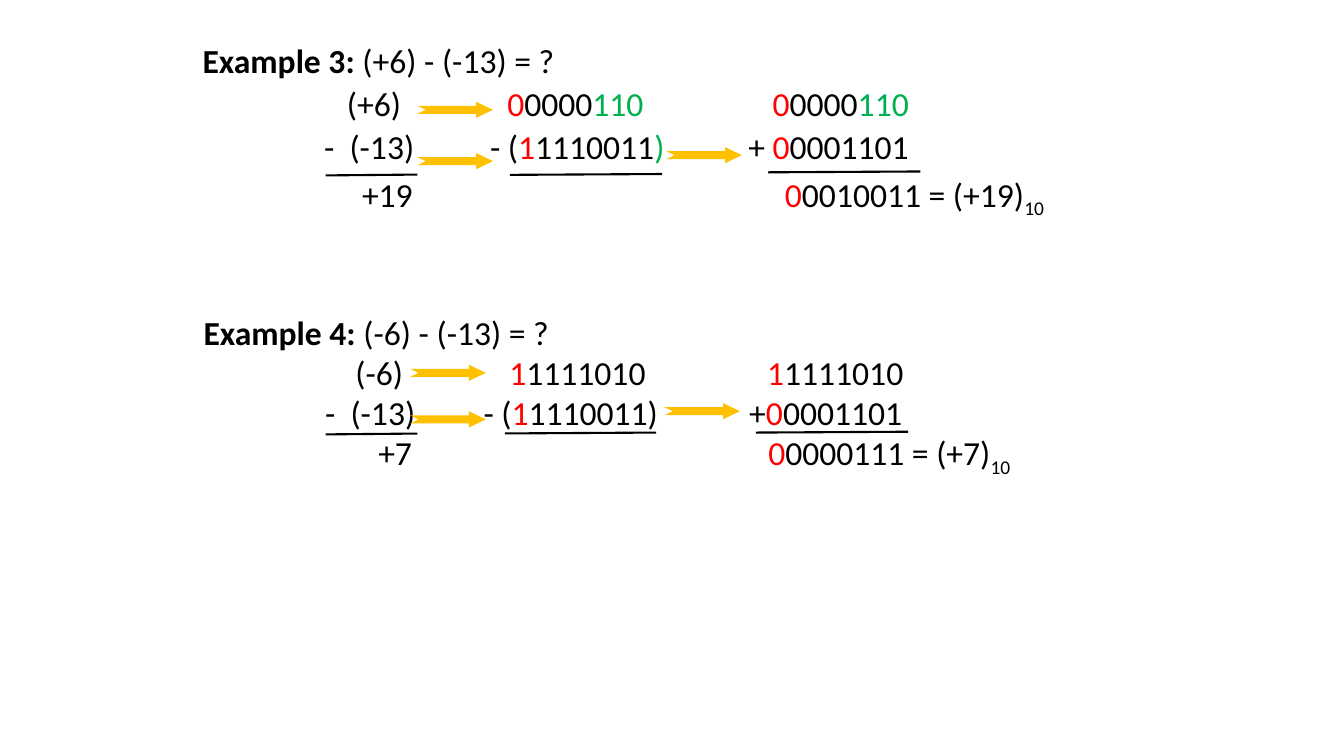
from lxml.etree import SubElement
from pptx import Presentation
from pptx.dml.color import RGBColor
from pptx.enum.shapes import MSO_CONNECTOR as Connector, MSO_SHAPE as Shape
from pptx.oxml.ns import qn
from pptx.util import Pt

BLACK = RGBColor(0x00, 0x00, 0x00)
RED = RGBColor(0xFF, 0x00, 0x00)
GREEN = RGBColor(0x00, 0xB0, 0x50)
AMBER = RGBColor(0xFF, 0xC0, 0x00)

ARROW_WIDTH, ARROW_HEIGHT = 54, 11.5
RULE_SLANT = 0.6
SUBSCRIPT = "-25000"

examples = [
    {
        "box": (101.5, 28.1, 828, 342.7),
        "line_spacing": 0.9,
        "space_before": 5,
        "title": ("Example 3: ", "(+6) - (-13) = ?"),
        "rows": [
            ((103.1, 217.7, 407.2),
             [("\t(+6)\t", BLACK), ("0", RED), ("0000", BLACK), ("110\t", GREEN),
              ("0", RED), ("0000", BLACK), ("110", GREEN)]),
            ((86.8, 105, 205.4, 389.8),
             [("\t-\t(-13)\t- (", BLACK), ("1", RED), ("1110011", BLACK), (")\t", GREEN),
              ("+ ", BLACK), ("0", RED), ("0001101", BLACK)]),
            ((113.9, 416),
             [("\t+19\t", BLACK), ("0", RED), ("0010011 = (+19)", BLACK)]),
        ],
        "arrows": [(298.1, 72.7), (298.1, 109.4), (475.9, 105.1)],
        "rules": [(232.6, 298.1, 125.3), (364.3, 473, 124.9), (548.6, 657.4, 123.1)],
    },
    {
        "box": (102.2, 218.9, 655.9, 123.8),
        "line_spacing": 1.0,
        "space_before": 0,
        "title": ("Example 4: ", "(-6) - (-13) = ?"),
        "rows": [
            ((108.5, 218.5, 402.6),
             [("\t(-6)\t", BLACK), ("1", RED), ("1111010\t", BLACK),
              ("1", RED), ("1111010", BLACK)]),
            ((86.8, 105, 200, 389.8),
             [("\t-\t(-13)\t- (", BLACK), ("1", RED), ("1110011)\t+", BLACK),
              ("0", RED), ("0001101", BLACK)]),
            ((124.8, 403.4),
             [("\t+7\t", BLACK), ("0", RED), ("0000111 = (+7)", BLACK)]),
        ],
        "arrows": [(293, 260.6), (293, 293.8), (474.5, 288)],
        "rules": [(232.6, 298.1, 310.3), (360.7, 468.7, 309.6), (540, 648.7, 309)],
    },
]


def add_line(frame, example, index):
    para = frame.paragraphs[0] if index == 0 else frame.add_paragraph()
    para.line_spacing = example["line_spacing"]
    para.space_before = Pt(example["space_before"])
    return para


def add_span(para, text, colour):
    span = para.add_run()
    span.text = text
    span.font.name = "Calibri"
    span.font.size = Pt(24)
    span.font.color.rgb = colour
    return span


deck = Presentation()
deck.slide_width, deck.slide_height = Pt(960), Pt(540)
page = deck.slides.add_slide(deck.slide_layouts[6])

for example in examples:
    box = page.shapes.add_textbox(*map(Pt, example["box"]))
    frame = box.text_frame
    frame.word_wrap = True
    frame.margin_left = Pt(43.2)

    title = add_line(frame, example, 0)
    label, question = example["title"]
    add_span(title, label, BLACK).font.bold = True
    add_span(title, question, BLACK)

    for index, (stops, spans) in enumerate(example["rows"], start=1):
        para = add_line(frame, example, index)
        tabs = SubElement(para._p.get_or_add_pPr(), qn("a:tabLst"))
        for stop in stops:
            SubElement(tabs, qn("a:tab"), pos=str(Pt(stop)), algn="l")
        for text, colour in spans:
            add_span(para, text, colour)

    base = add_span(para, "10", BLACK)
    base.font._element.set("baseline", SUBSCRIPT)

for example in examples:
    for left, top in example["arrows"]:
        arrow = page.shapes.add_shape(
            Shape.NOTCHED_RIGHT_ARROW, Pt(left), Pt(top), Pt(ARROW_WIDTH), Pt(ARROW_HEIGHT))
        arrow.adjustments[0] = 0.5
        arrow.adjustments[1] = 1.044
        arrow.shadow.inherit = False
        arrow.fill.solid()
        arrow.fill.fore_color.rgb = AMBER
        arrow.line.fill.background()

    for start, end, height in example["rules"]:
        rule = page.shapes.add_connector(
            Connector.STRAIGHT, Pt(start), Pt(height), Pt(end), Pt(height - RULE_SLANT))
        rule.line.color.rgb = BLACK
        rule.line.width = Pt(1.5)
        SubElement(rule._element.spPr, qn("a:effectLst"))

deck.save("out.pptx")
